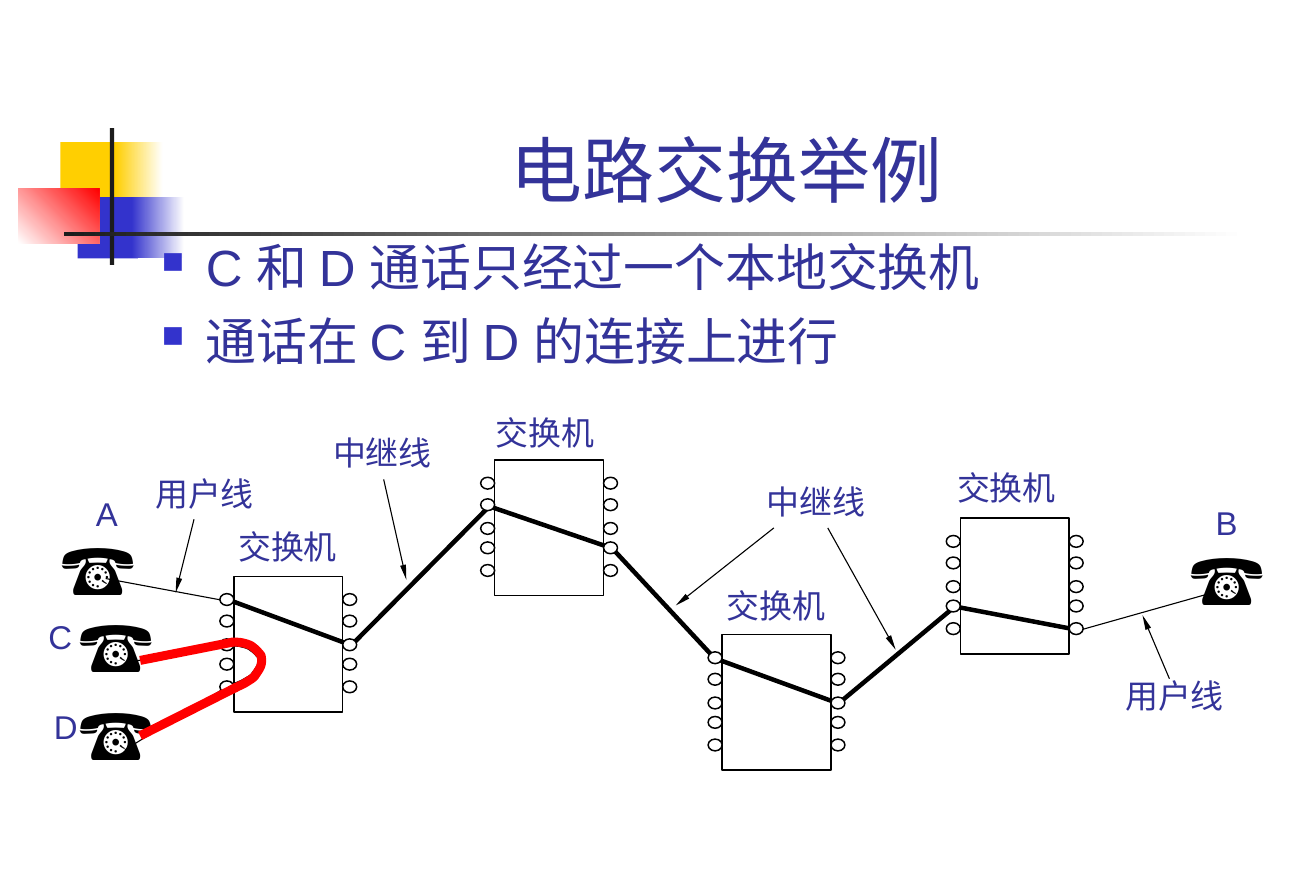
from dataclasses import dataclass

from lxml.etree import SubElement
from pptx import Presentation
from pptx.dml.color import RGBColor
from pptx.enum.shapes import MSO_CONNECTOR, MSO_SHAPE
from pptx.enum.text import MSO_ANCHOR, MSO_AUTO_SIZE, PP_ALIGN
from pptx.oxml.ns import qn
from pptx.util import Inches, Pt

CELL = Inches(0.1)
COLUMNS, ROWS = 122.1, 82.7

BLACK = RGBColor(0x00, 0x00, 0x00)
WHITE = RGBColor(0xFF, 0xFF, 0xFF)
CHARCOAL = RGBColor(0x1C, 0x1C, 0x1C)
YELLOW = RGBColor(0xFF, 0xCF, 0x01)
BLUE = RGBColor(0x33, 0x33, 0xCC)
RED = RGBColor(0xFF, 0x00, 0x00)
NAVY = RGBColor(0x33, 0x33, 0x99)

SWITCH_WIDTH, SWITCH_HEIGHT = 10.1, 12.6
PORT_WIDTH, PORT_HEIGHT = 1.3, 1.1
PORT_ROWS = (1.6, 3.6, 5.8, 7.6, 9.7)
SWITCHES = ((21.7, 16.5), (45.9, 5.7), (67, 21.9), (89.1, 11.1))
PHONES = ((4.6, 11.1), (109.4, 12), (6.3, 18.3), (6.3, 26.4))
ROUTE = ((21, 18.6), (32.6, 22.9), (45.4, 10), (56.8, 13.9), (66.3, 24.1),
         (77.8, 28.3), (88.6, 19.3), (100.1, 21.5))
USER_LINES = (((11.6, 32.6), (21.1, 26.7)), ((11.7, 24.5), (21.2, 22.9)),
              ((99.8, 21.6), (112.2, 18.1)), ((9.8, 16.7), (21.1, 18.8)))
POINTERS = (((18, 11.2), (16.3, 18)), ((108.5, 26), (106, 20.1)),
            ((71.8, 12), (62.7, 19.2)), ((76.8, 12), (83.1, 23.3)),
            ((35.6, 7.5), (37.7, 16.8)))
CALL_LINES = (((13, 24.3), (21.6, 22.6)), ((13, 31.3), (21.9, 26.8)))
NAMES = (("交换机", 21, 11.4), ("交换机", 44.9, 0.8), ("交换机", 66.3, 16.9),
         ("交换机", 87.7, 5.9), ("用户线", 13.3, 6.5), ("用户线", 103.3, 25.2),
         ("中继线", 70, 7.2), ("中继线", 29.8, 2.7))
LETTERS = (("B", 111.7, 9.2), ("D", 3.9, 28.1), ("C", 3.4, 19.7), ("A", 7.8, 8.3))
LOOP_HEIGHT = 4.3
LOOP_CURVES = (((0.2, 0), (0.8, 0), (1.1, 0.1)), ((1.5, 0.2), (1.8, 0.3), (2, 0.5)),
               ((2.3, 0.7), (2.5, 1), (2.7, 1.2)), ((2.8, 1.5), (2.8, 1.9), (2.7, 2.2)),
               ((2.6, 2.5), (2.3, 2.9), (2.1, 3.2)), ((1.9, 3.4), (1.7, 3.5), (1.4, 3.7)),
               ((1.1, 3.9), (0.4, 4.2), (0.2, 4.3)))


@dataclass
class Box:
    left: float
    top: float
    width: float
    height: float

    def inner(self, column, row, width, height):
        return Box(self.left + column, self.top + row, width, height)

    def point(self, column, row):
        return round((self.left + column) * CELL), round((self.top + row) * CELL)

    def frame(self):
        return (*self.point(0, 0), round(self.width * CELL), round(self.height * CELL))


def add_block(page, box, color, fade=None, angle=0):
    block = page.shapes.add_shape(MSO_SHAPE.RECTANGLE, *box.frame())
    block.shadow.inherit = False
    block.line.fill.background()
    if fade is None:
        block.fill.solid()
        block.fill.fore_color.rgb = color
    else:
        block.fill.gradient()
        block.fill.gradient_angle = angle
        for stop, stop_color in zip(block.fill.gradient_stops, (color, fade)):
            stop.color.rgb = stop_color


def add_outlined(page, kind, box, fill=None):
    shape = page.shapes.add_shape(kind, *box.frame())
    shape.shadow.inherit = False
    shape.line.color.rgb = BLACK
    shape.line.width = Pt(1)
    if fill is None:
        shape.fill.background()
    else:
        shape.fill.solid()
        shape.fill.fore_color.rgb = fill


def add_line(page, box, ends, color=BLACK, width=0.75, arrow=False):
    start, end = ends
    line = page.shapes.add_connector(
        MSO_CONNECTOR.STRAIGHT, *box.point(*start), *box.point(*end))
    line.line.color.rgb = color
    line.line.width = Pt(width)
    properties = line.element.spPr
    if arrow:
        SubElement(properties.find(qn("a:ln")), qn("a:tailEnd"),
                   type="triangle", w="sm", len="lg")
    SubElement(properties, qn("a:effectLst"))


def add_path(page, box, points, color, width):
    start, *others = [box.point(*point) for point in points]
    builder = page.shapes.build_freeform(*start)
    builder.add_line_segments(others, close=False)
    path = builder.convert_to_shape()
    path.shadow.inherit = False
    path.fill.background()
    path.line.color.rgb = color
    path.line.width = Pt(width)


def add_loop(page, box, color, width):
    points = [(0, 0)]
    for curve in LOOP_CURVES:
        corners = (points[-1], *curve)
        for step in range(1, 9):
            t = step / 8
            weights = ((1 - t) ** 3, 3 * t * (1 - t) ** 2, 3 * t * t * (1 - t), t ** 3)
            points.append(tuple(
                sum(weight * corner[axis] for weight, corner in zip(weights, corners))
                for axis in (0, 1)))
    scale = box.height / LOOP_HEIGHT
    add_path(page, box, [(x, y * scale) for x, y in points], color, width)


def add_span(para, text, size, color=NAVY, font="Arial"):
    span = para.add_run()
    span.text = text
    span.font.size = Pt(size)
    span.font.name = font
    span.font.color.rgb = color


def add_text_frame(page, box, wrap):
    frame = page.shapes.add_textbox(*box.frame()).text_frame
    frame.word_wrap = wrap
    frame.margin_left = frame.margin_right = Inches(0.11)
    frame.margin_top = frame.margin_bottom = Inches(0.05)
    return frame


def add_label(page, box, text, size=22, color=NAVY, font="Arial"):
    frame = add_text_frame(page, box, False)
    frame.auto_size = MSO_AUTO_SIZE.SHAPE_TO_FIT_TEXT
    add_span(frame.paragraphs[0], text, size, color, font)


def add_motif(page, box):
    add_block(page, box.inner(3.9, 1.3, 5.9, 5.7), YELLOW)
    add_block(page, box.inner(9, 1.3, 4.4, 5.7), YELLOW, WHITE)
    add_block(page, box.inner(5.5, 6.4, 5.6, 5.7), BLUE)
    add_block(page, box.inner(10.5, 6.4, 4.9, 5.7), BLUE, WHITE)
    add_block(page, box.inner(0, 5.6, 7.5, 5.1), WHITE, RED, 45)
    add_block(page, box.inner(8.5, 0, 0.4, 12.7), CHARCOAL)
    add_block(page, box.inner(4.2, 9.6, 109.8, 0.4), CHARCOAL, WHITE)


def add_title(page, box):
    frame = add_text_frame(page, box, True)
    frame.vertical_anchor = MSO_ANCHOR.BOTTOM
    para = frame.paragraphs[0]
    para.alignment = PP_ALIGN.CENTER
    add_span(para, "电路交换举例", 48)


def add_bullets(page, box, lines):
    frame = add_text_frame(page, box, True)
    for number, text in enumerate(lines):
        para = frame.add_paragraph() if number else frame.paragraphs[0]
        if number:
            para.space_before = Pt(8.5)
        properties = para._p.get_or_add_pPr()
        properties.set("marL", str(Inches(0.41)))
        properties.set("indent", str(-Inches(0.41)))
        color = SubElement(properties, qn("a:buClr"))
        SubElement(color, qn("a:srgbClr"), val=str(BLUE))
        SubElement(properties, qn("a:buSzPct"), val="60000")
        SubElement(properties, qn("a:buChar"), char="■")
        add_span(para, text, 34)


def add_switch(page, box):
    add_outlined(page, MSO_SHAPE.RECTANGLE, box)
    for column in (-PORT_WIDTH, box.width):
        for row in PORT_ROWS:
            port = box.inner(column, row, PORT_WIDTH, PORT_HEIGHT)
            add_outlined(page, MSO_SHAPE.OVAL, port, WHITE)


def add_network(page, box):
    add_loop(page, box.inner(21.3, 22.8, 2.8, 3.9), BLACK, 3)
    for ends in USER_LINES:
        add_line(page, box, ends)
    add_path(page, box, ROUTE, BLACK, 3)
    for column, row in SWITCHES:
        add_switch(page, box.inner(column, row, SWITCH_WIDTH, SWITCH_HEIGHT))
    for column, row in PHONES:
        add_label(page, box.inner(column, row, 9.2, 9.1), "☎", 48, BLACK)
    for ends in POINTERS:
        add_line(page, box, ends, arrow=True)
    for text, column, row in NAMES:
        add_label(page, box.inner(column, row, 11.5, 4.8), text, font="Times New Roman")
    for text, column, row in LETTERS:
        add_label(page, box.inner(column, row, 4.3, 4.8), text)
    add_loop(page, box.inner(21.5, 22.6, 2.8, LOOP_HEIGHT), RED, 6)
    for ends in CALL_LINES:
        add_line(page, box, ends, RED, 6)


def main():
    deck = Presentation()
    deck.slide_width = round(COLUMNS * CELL)
    deck.slide_height = round(ROWS * CELL)
    page = deck.slides.add_slide(deck.slide_layouts[6])
    add_motif(page, Box(1.7, 11.9, 114, 12.7))
    add_title(page, Box(15.4, 2.6, 104, 17.6))
    add_bullets(page, Box(13.9, 21.4, 103.7, 49.6),
                ("C 和 D 通话只经过一个本地交换机", "通话在 C 到 D 的连接上进行"))
    add_network(page, Box(0, 37, COLUMNS, 36))
    deck.save("out.pptx")


if __name__ == "__main__":
    main()
